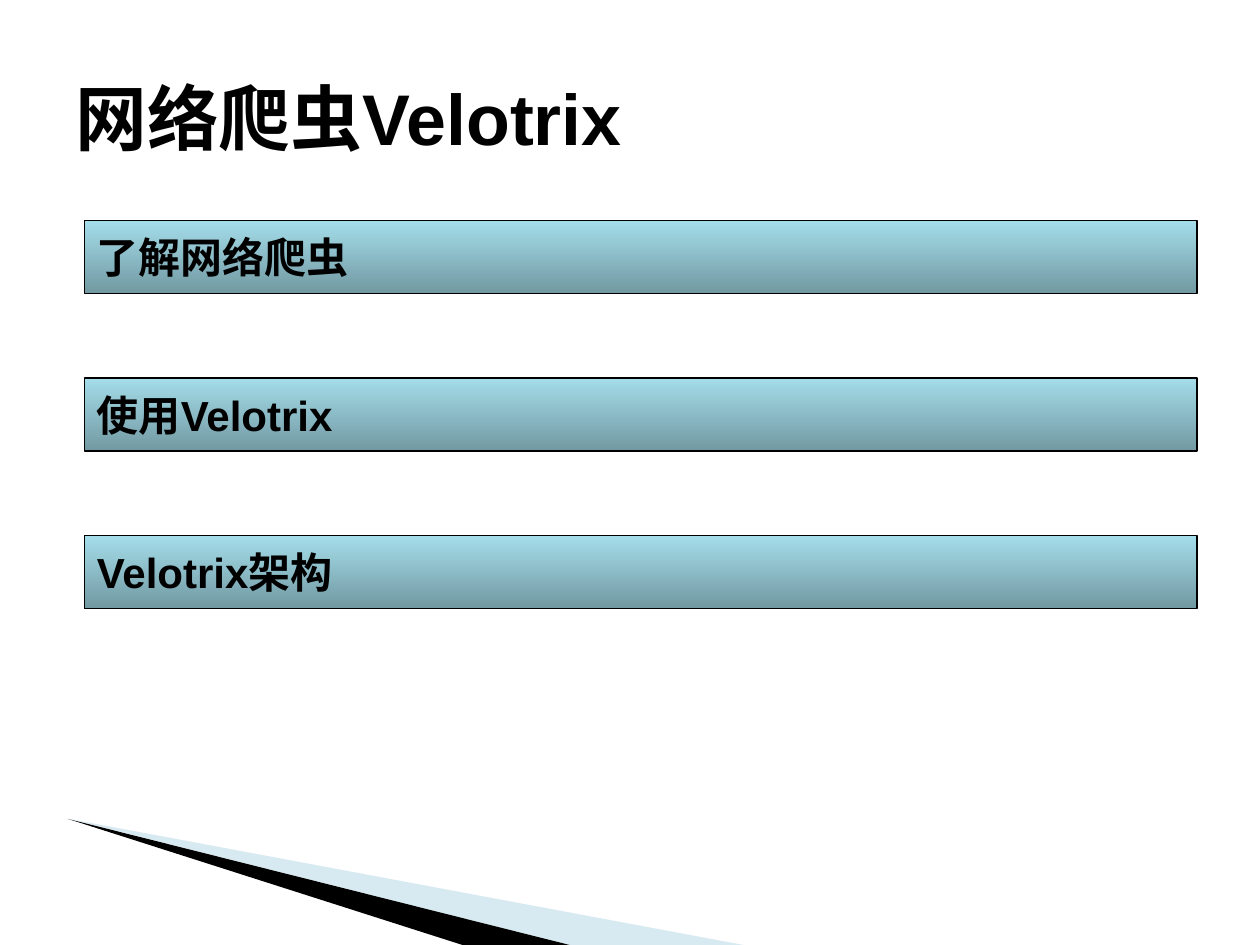
from lxml import etree
from pptx import Presentation
from pptx import util as u
from pptx.dml.color import RGBColor
from pptx.enum import shapes, text
from pptx.oxml.ns import qn

COLORS = {
    "ink": "000000",
    "bar_top": "A4DDEA",
    "bar_bottom": "7299A2",
    "pale_blue": "9FCBDC",
}
FONT = "Arial"
TITLE = "网络爬虫Velotrix"
TOPICS = ["了解网络爬虫", "使用Velotrix", "Velotrix架构"]
BAR_LEFT, BAR_TOP, BAR_WIDTH, BAR_HEIGHT, BAR_STEP = 0.67, 1.75, 8.83, 0.58, 1.25
# Corner decoration: colour, opacity in percent, corners in inches
WEDGES = [
    ("pale_blue", 40, [(0.55, 6.5), (5.9, 7.5), (4.52, 7.5)]),
    ("ink", 100, [(0.54, 6.5), (4.52, 7.5), (3.67, 7.5)]),
]


def color(name):
    return RGBColor.from_string(COLORS[name])


def write(box, words, size):
    """Put one bold, left-aligned, vertically centred line into a shape."""
    frame = box.text_frame
    frame.word_wrap = True
    frame.vertical_anchor = text.MSO_ANCHOR.MIDDLE
    para = frame.paragraphs[0]
    para.alignment = text.PP_ALIGN.LEFT
    span = para.add_run()
    span.text = words
    span.font.name = FONT
    span.font.size = u.Pt(size)
    span.font.bold = True
    span.font.color.rgb = color("ink")


deck = Presentation()
deck.slide_width, deck.slide_height = u.Inches(10), u.Inches(7.5)
page = deck.slides.add_slide(deck.slide_layouts[6])

for name, opacity, corners in WEDGES:
    points = [(u.Inches(x), u.Inches(y)) for x, y in corners]
    builder = page.shapes.build_freeform(*points[0])
    builder.add_line_segments(points[1:], close=True)
    wedge = builder.convert_to_shape()
    wedge.shadow.inherit = False
    wedge.line.fill.background()
    wedge.fill.solid()
    wedge.fill.fore_color.rgb = color(name)
    if opacity < 100:
        paint = wedge.fill._xPr.find(".//" + qn("a:srgbClr"))
        etree.SubElement(paint, qn("a:alpha"), val=str(opacity * 1000))

title = page.shapes.add_textbox(u.Inches(0.5), u.Inches(0.3), u.Inches(9), u.Inches(1.25))
write(title, TITLE, 41)

for row, topic in enumerate(TOPICS):
    bar = page.shapes.add_shape(
        shapes.MSO_SHAPE.RECTANGLE,
        u.Inches(BAR_LEFT), u.Inches(BAR_TOP + row * BAR_STEP),
        u.Inches(BAR_WIDTH), u.Inches(BAR_HEIGHT),
    )
    bar.shadow.inherit = False
    bar.fill.gradient()
    bar.fill.gradient_angle = 270
    for stop, name, position in zip(bar.fill.gradient_stops, ("bar_top", "bar_bottom"), (0, 1)):
        stop.color.rgb = color(name)
        stop.position = position
    bar.line.color.rgb = color("ink")
    bar.line.width = u.Pt(0.75)
    write(bar, topic, 24)

deck.save("out.pptx")
